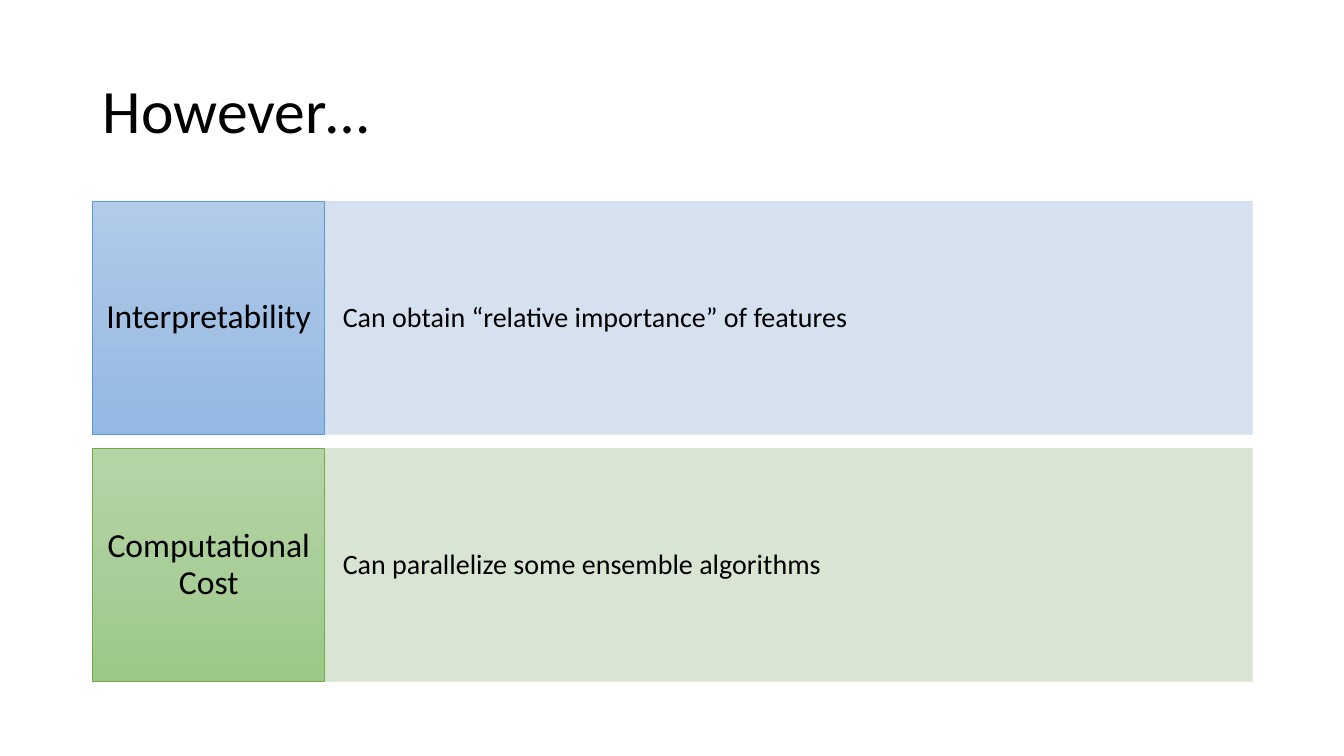
from copy import deepcopy
from dataclasses import dataclass

from lxml.etree import SubElement
from pptx import Presentation
from pptx.dml.color import RGBColor as Rgb
from pptx.enum.shapes import MSO_SHAPE as Kind
from pptx.enum.text import MSO_ANCHOR as Anchor, MSO_AUTO_SIZE as Fit, PP_ALIGN as Align
from pptx.oxml.ns import qn
from pptx.util import Emu, Pt

SCALE = 9144  # EMU in one px, 100 px to the inch


@dataclass(frozen=True)
class Theme:
    font: str = "Calibri"
    ink: str = "000000"
    title: int = 44
    label: int = 24
    body: int = 20
    edge: float = 0.5
    alpha: int = 90


@dataclass(frozen=True)
class Tone:
    edge: str
    ramp: tuple[str, ...]
    pale: str


@dataclass(frozen=True)
class Row:
    label: str
    body: str
    tone: Tone


@dataclass(frozen=True)
class Box:
    left: int
    top: int
    width: int
    height: int


THEME = Theme()
BLUE = Tone("5B9BD5", ("B1CBE9", "A3C1E5", "93B9E4"), "D2DEEF")
GREEN = Tone("70AD47", ("B5D5A7", "AACE9A", "9CC987"), "D5E3CF")
ROWS = (
    Row("Interpretability", "Can obtain “relative importance” of features", BLUE),
    Row("Computational Cost", "Can parallelize some ensemble algorithms", GREEN),
)
LEFT, TOP, LABEL, BODY, HEIGHT, GAP = 92, 200, 230, 920, 231, 14


def px(size: int) -> Emu:
    return Emu(size * SCALE)


def write(shape, text: str, *, size: int, align=Align.LEFT, pad=(10, 5)) -> None:
    """Fill a shape with one paragraph; pad is the side and the top inset."""
    frame = shape.text_frame
    frame.word_wrap = True
    frame.auto_size = Fit.NONE
    frame.vertical_anchor = Anchor.MIDDLE
    frame.margin_left = frame.margin_right = px(pad[0])
    frame.margin_top = frame.margin_bottom = px(pad[1])
    para = frame.paragraphs[0]
    para.alignment = align
    para.line_spacing = 0.9
    run = para.add_run()
    run.text = text
    run.font.name = THEME.font
    run.font.size = Pt(size)
    run.font.color.rgb = Rgb.from_string(THEME.ink)


def block(slide, box: Box, edge: str):
    shape = slide.shapes.add_shape(
        Kind.RECTANGLE, px(box.left), px(box.top), px(box.width), px(box.height))
    shape.shadow.inherit = False
    shape.line.color.rgb = Rgb.from_string(edge)
    shape.line.width = Pt(THEME.edge)
    return shape


def flat(shape, color: str) -> None:
    """Give fill and line one see-through colour."""
    shape.fill.solid()
    shape.fill.fore_color.rgb = Rgb.from_string(color)
    for node in shape.element.spPr.iter(qn("a:srgbClr")):
        SubElement(node, qn("a:alpha"), val=str(THEME.alpha * 1000))


def shade(shape, ramp: tuple[str, ...]) -> None:
    """Run the colours evenly from top to bottom."""
    fill = shape.fill
    fill.gradient()
    fill.gradient_angle = 270
    stops = shape.element.spPr.find(f".//{qn('a:gsLst')}")
    while len(stops) < len(ramp):
        stops.append(deepcopy(stops[0]))
    for spot, (stop, color) in enumerate(zip(fill.gradient_stops, ramp)):
        stop.position = spot / (len(ramp) - 1)
        stop.color.rgb = Rgb.from_string(color)


def draw(slide, row: Row, top: int) -> None:
    body = block(slide, Box(LEFT + LABEL, top, BODY, HEIGHT), row.tone.pale)
    flat(body, row.tone.pale)
    write(body, row.body, size=THEME.body, pad=(18, 59))
    label = block(slide, Box(LEFT, top, LABEL, HEIGHT), row.tone.edge)
    shade(label, row.tone.ramp)
    write(label, row.label, size=THEME.label, align=Align.CENTER, pad=(12, 23))


def main() -> None:
    deck = Presentation()
    deck.slide_width, deck.slide_height = px(1333), px(750)
    slide = deck.slides.add_slide(deck.slide_layouts[5])
    title = slide.shapes.title
    title.left, title.top = px(LEFT), px(40)
    title.width, title.height = px(LABEL + BODY), px(145)
    write(title, "However…", size=THEME.title)
    for order, row in enumerate(ROWS):
        draw(slide, row, TOP + order * (HEIGHT + GAP))
    deck.save("out.pptx")


if __name__ == "__main__":
    main()
